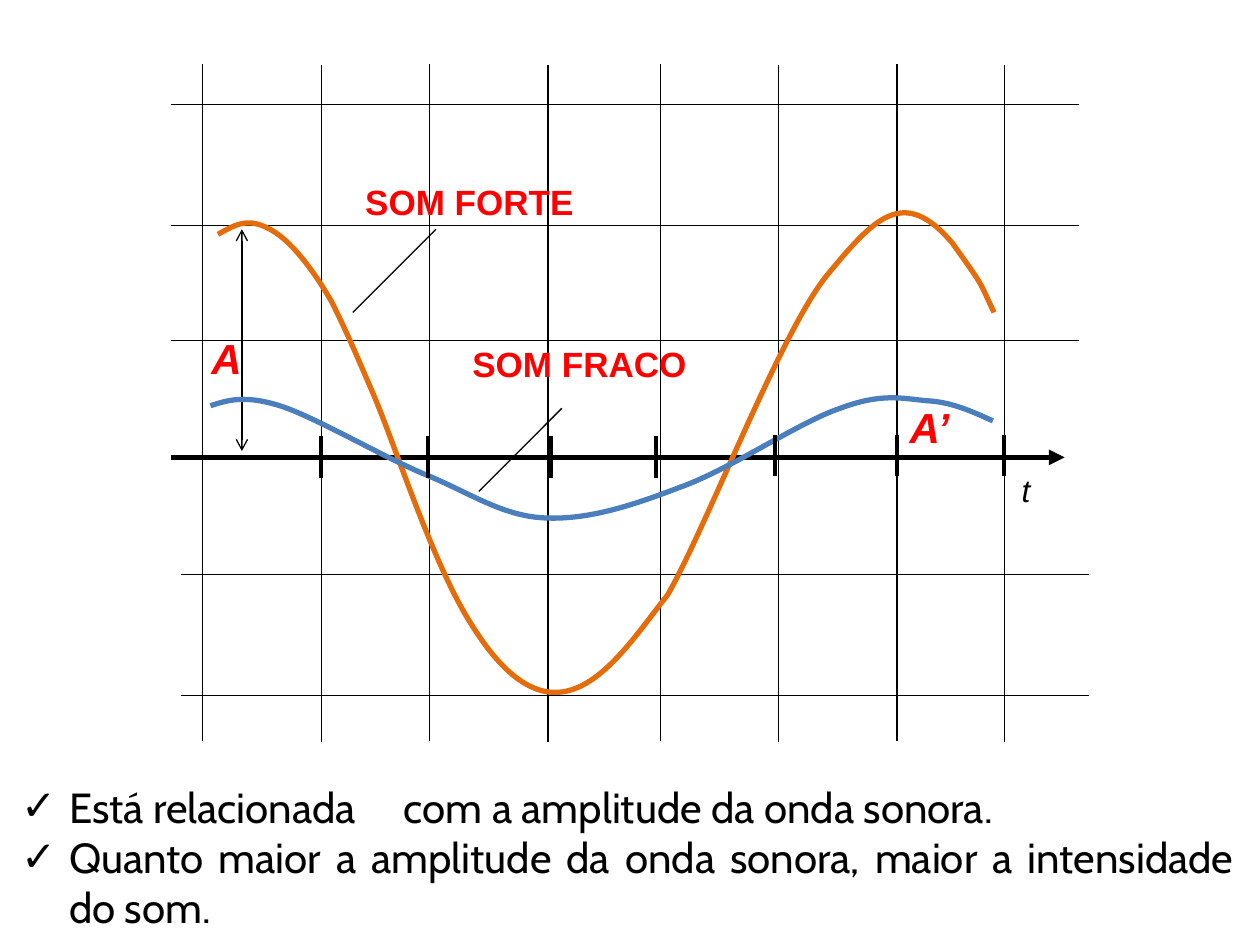
from dataclasses import dataclass
from lxml.etree import SubElement
from pptx import Presentation
from pptx.dml.color import RGBColor
from pptx.enum.shapes import MSO_CONNECTOR
from pptx.enum.text import MSO_ANCHOR, MSO_AUTO_SIZE, PP_ALIGN
from pptx.oxml.ns import qn
from pptx.util import Inches, Pt


@dataclass(frozen=True)
class Theme:
    ink: str = "000000"
    red: str = "FF0000"
    loud: str = "E46C0A"
    soft: str = "4B7EBC"
    sans: str = "Arial"
    body: str = "Cabin"
    big: int = 24
    mid: int = 20
    small: int = 18
    thin: float = 0.75
    tick: float = 2.25
    thick: float = 3


T = Theme()

# Wave outlines: a start point, then three points for each cubic curve
LOUD = [
    (0.37, 1.35),
    (0.46, 1.30), (0.54, 1.25), (0.64, 1.26),
    (0.73, 1.27), (0.84, 1.33), (0.94, 1.43),
    (1.05, 1.54), (1.16, 1.69), (1.27, 1.88),
    (1.37, 2.08), (1.42, 2.19), (1.60, 2.61),
    (1.78, 3.03), (2.06, 3.92), (2.36, 4.41),
    (3.05, 5.55), (3.53, 4.73), (3.94, 4.21),
    (4.25, 3.67), (4.83, 2.14), (5.20, 1.68),
    (5.58, 1.22), (5.81, 0.96), (6.20, 1.42),
    (6.47, 1.80), (6.40, 1.70), (6.53, 1.97),
]
SOFT = [
    (0.31, 2.71),
    (0.44, 2.67), (0.57, 2.62), (0.86, 2.71),
    (1.14, 2.80), (1.65, 3.10), (2.00, 3.25),
    (2.35, 3.39), (2.61, 3.58), (2.95, 3.60),
    (3.29, 3.62), (3.64, 3.51), (4.03, 3.36),
    (4.43, 3.22), (4.98, 2.84), (5.31, 2.73),
    (5.63, 2.61), (5.79, 2.65), (5.99, 2.67),
    (6.20, 2.68), (6.36, 2.76), (6.52, 2.83),
]


def text(slide, box, lines, font=T.sans, size=T.big, color=T.ink, bold=False,
         slant=False, wrap=False, align=PP_ALIGN.LEFT, bullet=None, gap=0):
    """Add one paragraph per line; a line is a list of runs parted by gap points."""
    frame = slide.shapes.add_textbox(*map(Inches, box)).text_frame
    frame.word_wrap = wrap
    frame.auto_size = MSO_AUTO_SIZE.SHAPE_TO_FIT_TEXT
    frame.vertical_anchor = MSO_ANCHOR.TOP
    for i, runs in enumerate(lines):
        para = frame.add_paragraph() if i else frame.paragraphs[0]
        para.alignment = align
        if bullet:
            para.level = 1
            props = para._p.get_or_add_pPr()
            props.set("marL", str(Inches(0.88)))
            props.set("indent", str(-Inches(0.38)))
            SubElement(props, qn("a:buFont"), typeface=T.sans)
            SubElement(props, qn("a:buChar"), char=bullet)
        parts = [(runs[0], 0)]
        for part in runs[1:]:
            parts += [(" ", gap), (part, 0)]
        for part, space in parts:
            run = para.add_run()
            run.text = part
            run.font.name, run.font.size = font, Pt(size)
            run.font.bold, run.font.italic = bold, slant
            run.font.color.rgb = RGBColor.from_string(color)
            if space:
                run._r.get_or_add_rPr().set("spc", str(space * 100))


def stroke(line, color, width):
    line.color.rgb = RGBColor.from_string(color)
    line.width = Pt(width)


def rule(slide, x1, y1, x2, y2, width=T.thin, head=None, tail=None):
    """Draw a straight line with optional arrowheads."""
    link = slide.shapes.add_connector(
        MSO_CONNECTOR.STRAIGHT, *map(Inches, (x1, y1, x2, y2)))
    stroke(link.line, T.ink, width)
    ends = link.line._get_or_add_ln()
    for tag, kind in (("a:headEnd", head), ("a:tailEnd", tail)):
        if kind:
            SubElement(ends, qn(tag), type=kind)
    SubElement(link._element.spPr, qn("a:effectLst"))


def bend(shape):
    """Turn each three line segments of a freeform into one cubic curve."""
    track = next(shape._element.iter(qn("a:path")))
    legs = track.findall(qn("a:lnTo"))
    for i in range(0, len(legs), 3):
        curve = SubElement(track, qn("a:cubicBezTo"))
        for leg in legs[i:i + 3]:
            curve.append(leg[0])
            track.remove(leg)


def wave(slide, x, y, points, color):
    spots = [(Inches(x + a), Inches(y + b)) for a, b in points]
    pen = slide.shapes.build_freeform(*spots[0])
    pen.add_line_segments(spots[1:], close=False)
    shape = pen.convert_to_shape()
    bend(shape)
    shape.shadow.inherit = False
    shape.fill.background()
    stroke(shape.line, color, T.thick)


def graph(slide, x, y):
    """Place the sound graph with its top left corner at x, y."""
    def draw(x1, y1, x2, y2, **form):
        rule(slide, x + x1, y + y1, x + x2, y + y2, **form)

    # Time axis and amplitude arrow
    draw(0, 3.12, 7.09, 3.12, width=T.thick, tail="triangle")
    draw(0.56, 3.07, 0.56, 1.31, head="arrow", tail="arrow")

    # Grid
    for left, top in ((0, 0.32), (0, 1.28), (0.08, 4.05), (0.08, 5.01), (0, 2.19)):
        draw(left, top, left + 7.2, top)
    for i, left in enumerate((0.25, 1.19, 2.05, 2.99, 3.88, 4.82, 5.76, 6.61)):
        top = 0.01 * (i % 2)
        draw(left, top, left, top + 5.37)

    # Labels and their leader lines
    strong = dict(color=T.red, bold=True)
    for word, left, top, wide, high, form in (
        ("A", 0.22, 2.08, 0.45, 0.5, dict(strong, slant=True)),
        ("A’", 5.76, 2.63, 0.52, 0.5, dict(strong, slant=True)),
        ("t", 6.65, 3.18, 0.38, 0.56, dict(size=T.small, slant=True)),
        ("SOM FORTE", 1.44, 0.87, 1.87, 0.44, dict(strong, size=T.mid)),
        ("SOM FRACO", 2.29, 2.16, 1.92, 0.44, dict(strong, size=T.mid)),
    ):
        text(slide, (x + left, y + top, wide, high), [[word]], **form)
    for left, top in ((1.44, 1.97), (2.44, 3.39)):
        draw(left, top, left + 0.66, top - 0.66)

    # Waves
    wave(slide, x, y, LOUD, T.loud)
    wave(slide, x, y, SOFT, T.soft)

    # Axis ticks
    for i, left in enumerate((1.19, 2.04, 3.01, 3.85, 4.79, 5.76, 6.61)):
        top = 2.95 if i < 4 else 2.94
        draw(left, top, left, top + 0.33, width=T.tick)


def notes(slide, box):
    """Place the bulleted statements in the box."""
    text(slide, box, [
        ["Está relacionada", "com a amplitude da onda sonora."],
        ["Quanto maior a amplitude da onda sonora, maior a intensidade do som."],
    ], font=T.body, wrap=True, align=PP_ALIGN.JUSTIFY, bullet="✓", gap=22)


def main():
    deck = Presentation()
    deck.slide_width, deck.slide_height = Inches(10), Inches(7.5)
    slide = deck.slides.add_slide(deck.slide_layouts[6])
    graph(slide, 1.36, 0.51)
    notes(slide, (-0.43, 6.15, 10.32, 1.72))
    deck.save("out.pptx")


if __name__ == "__main__":
    main()
